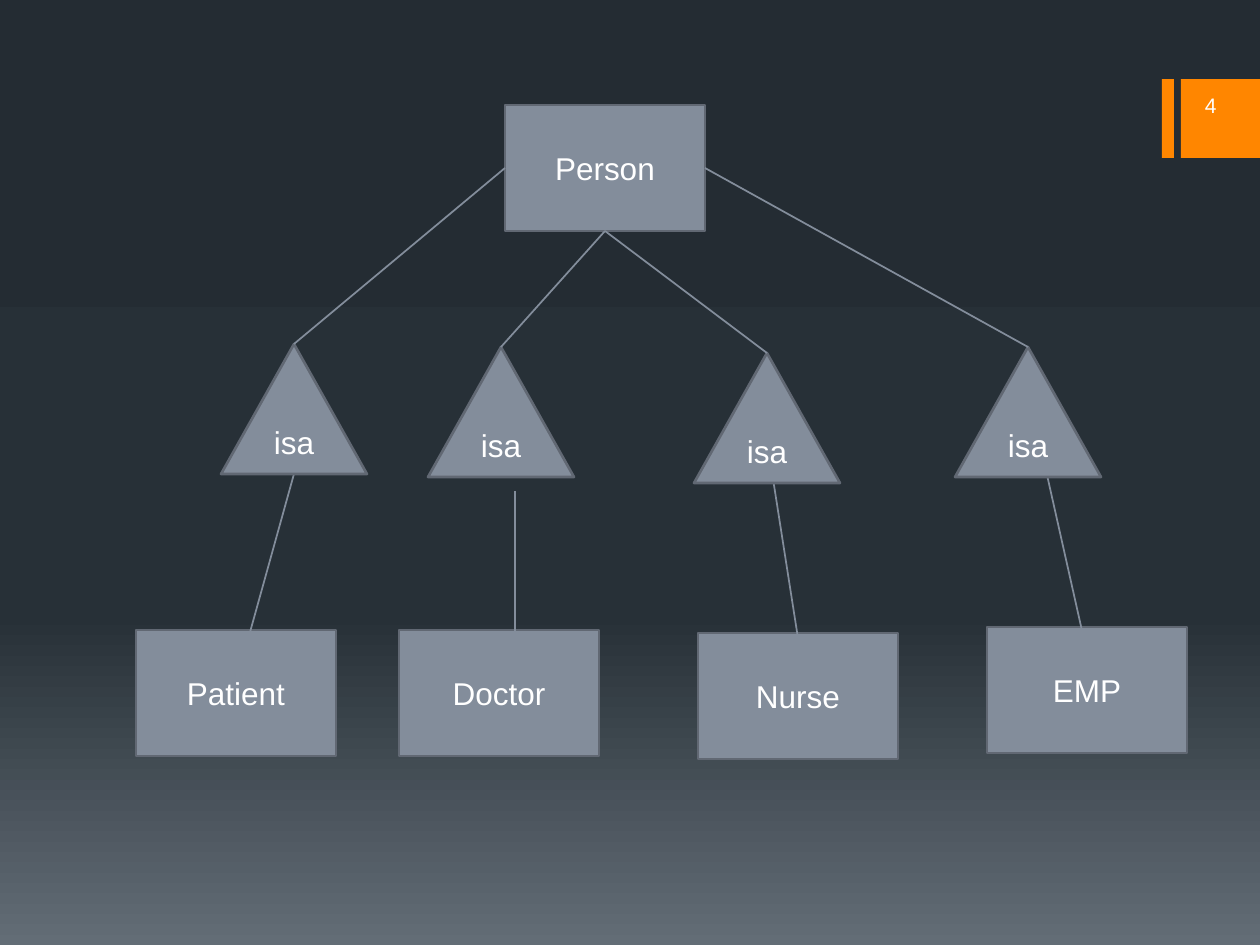
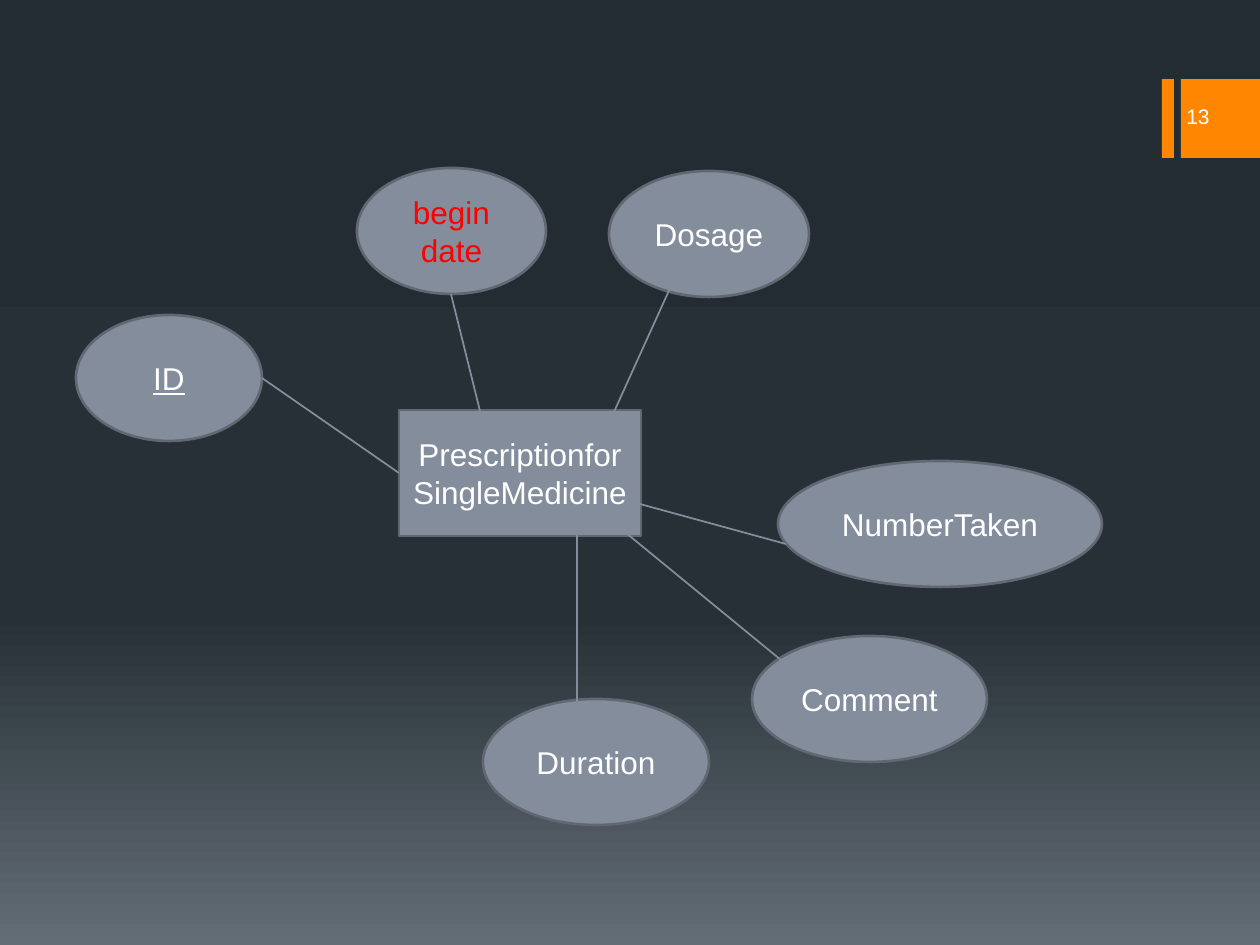
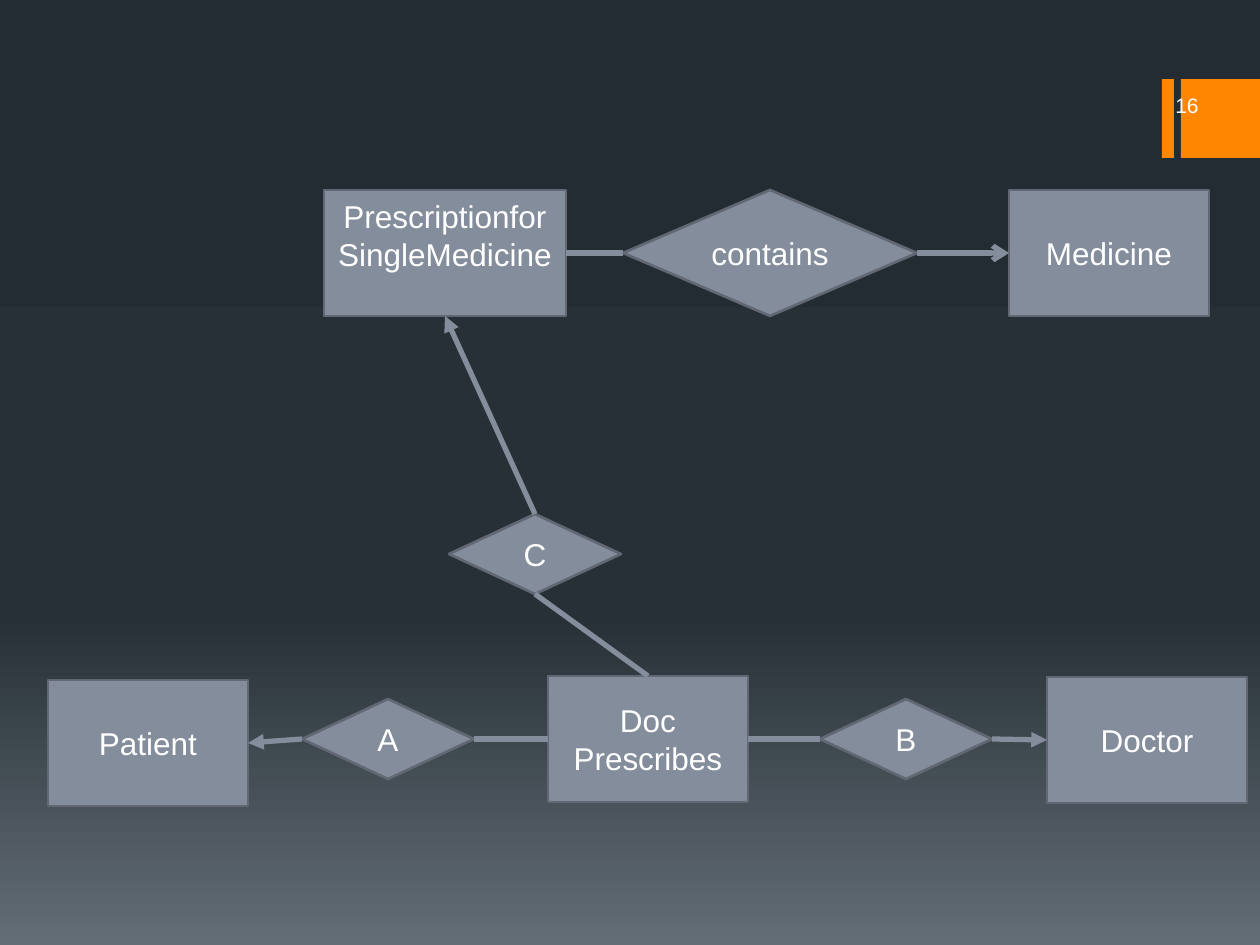
from lxml.etree import SubElement
from pptx import Presentation
from pptx.dml.color import RGBColor
from pptx.enum.shapes import MSO_CONNECTOR, MSO_SHAPE as Preset
from pptx.enum.text import MSO_ANCHOR as Anchor, PP_ALIGN as Align
from pptx.oxml.ns import qn
from pptx.util import Pt

# Shared style
EMU_PER_PX = 914400 / 126
SLIDE_WIDTH, SLIDE_HEIGHT = 1260, 945
GRADIENT = [(0, "242C33"), (65, "273037"), (100, "636D76")]
ACCENT, FILL, OUTLINE = "FF8600", "838D9B", "616873"
WHITE, RED = "FFFFFF", "FF0000"
FRAME_FORMAT = {"word_wrap": True, "vertical_anchor": Anchor.MIDDLE}
BODY_FONT = {"name": "Arial", "size": Pt(18)}
NUMBER_FONT = {"name": "Arial", "size": Pt(12)}
BOX_WIDTH, NODE_HEIGHT = 200, 126
TRIANGLE_SIZE = 146, 130
SMALL_DIAMOND_SIZE = 172, 80
TOP, LEFT, BOTTOM, RIGHT = range(4)


def px(value):
    return round(value * EMU_PER_PX)


def color(hex_value):
    return RGBColor.from_string(hex_value)


def apply_format(target, values):
    for name, value in values.items():
        setattr(target, name, value)


class Diagram:
    """Holds the presentation style and the slide being drawn."""

    def __init__(self):
        self.presentation = Presentation()
        self.presentation.slide_width = px(SLIDE_WIDTH)
        self.presentation.slide_height = px(SLIDE_HEIGHT)
        self.slide = None
        self.paint_background()

    def paint_background(self):
        master = self.presentation.slide_master
        fill = master.background.fill
        fill.gradient()
        fill.gradient_angle = 270
        stops = master.element.find(".//" + qn("a:gsLst"))
        for stop in list(stops):
            stops.remove(stop)
        for percent, hex_value in GRADIENT:
            stop = SubElement(stops, qn("a:gs"), pos=str(percent * 1000))
            SubElement(stop, qn("a:srgbClr"), val=hex_value)

    def new_slide(self):
        self.slide = self.presentation.slides.add_slide(self.presentation.slide_layouts[6])
        for left, width in ((1162, 12), (1181, 79)):
            self.shape(Preset.RECTANGLE, left, 79, width, 79, ACCENT)

    def shape(self, preset, left, top, width, height, fill, outline=None):
        shape = self.slide.shapes.add_shape(preset, px(left), px(top), px(width), px(height))
        shape.shadow.inherit = False
        shape.fill.solid()
        shape.fill.fore_color.rgb = color(fill)
        if outline:
            shape.line.color.rgb = color(outline)
            shape.line.width = Pt(1.5)
        else:
            shape.line.fill.background()
        return shape

    def set_text(self, shape, text, font, align, hex_value=WHITE):
        frame = shape.text_frame
        frame.text = text
        apply_format(frame, FRAME_FORMAT)
        for paragraph in frame.paragraphs:
            paragraph.alignment = align
            for run in paragraph.runs:
                apply_format(run.font, font)
                run.font.color.rgb = color(hex_value)

    def node(self, preset, text, left, top, width=BOX_WIDTH, height=NODE_HEIGHT,
             hex_value=WHITE, **font):
        shape = self.shape(preset, left, top, width, height, FILL, OUTLINE)
        self.set_text(shape, text, BODY_FONT | font, Align.CENTER, hex_value)
        return shape

    def box(self, text, left, top, width=BOX_WIDTH):
        return self.node(Preset.RECTANGLE, text, left, top, width)

    def link(self, start, end, weight=1, arrow=None):
        """Each end is a point in px or a (shape, side) pair."""
        start_glued, end_glued = (not isinstance(place[0], int) for place in (start, end))
        points = [(0, 0) if glued else place
                  for place, glued in ((start, start_glued), (end, end_glued))]
        connector = self.slide.shapes.add_connector(
            MSO_CONNECTOR.STRAIGHT, *(px(value) for point in points for value in point))
        if start_glued:
            connector.begin_connect(*start)
        if end_glued:
            connector.end_connect(*end)
        connector.line.color.rgb = color(FILL)
        connector.line.width = Pt(weight)
        properties = connector.element.spPr
        if arrow:
            SubElement(properties.find(qn("a:ln")), qn("a:tailEnd"), type=arrow)
        SubElement(properties, qn("a:effectLst"))

    def page_number(self, number, left, top):
        box = self.slide.shapes.add_textbox(px(left), px(top), px(130), px(42))
        self.set_text(box, str(number), NUMBER_FONT, Align.RIGHT)


def draw_person_hierarchy(diagram):
    diagram.new_slide()

    # Entities and the lines that reach up from them
    person = diagram.box("Person", 505, 105)
    entities = [
        ("Patient", 136, 630, (294, 474), (244, 654)),
        ("Doctor", 399, 630, (515, 491), (515, 644)),
        ("Nurse", 698, 633, (771, 466), (798, 638)),
        ("EMP", 987, 627, (1043, 457), (1085, 644)),
    ]
    for text, left, top, start, end in entities:
        diagram.box(text, left, top)
        diagram.link(start, end)

    # Triangles below the parent entity
    branches = [(LEFT, 221, 344), (BOTTOM, 428, 347), (BOTTOM, 694, 353), (RIGHT, 955, 347)]
    for side, left, top in branches:
        triangle = diagram.node(Preset.ISOSCELES_TRIANGLE, "isa", left, top, *TRIANGLE_SIZE)
        diagram.link((person, side), (triangle, TOP))
    diagram.page_number(4, 1099, 84)


def draw_prescription_attributes(diagram):
    diagram.new_slide()

    # Entity and its attributes
    prescription = diagram.box("PrescriptionforSingleMedicine", 399, 410, 242)
    attributes = [
        ("begin date", 357, 168, 189, {"hex_value": RED}),
        ("Dosage", 609, 171, 200, {}),
        ("ID", 76, 315, 186, {"underline": True}),
        ("Comment", 752, 636, 235, {}),
        ("Duration", 483, 699, 226, {}),
        ("NumberTaken", 778, 461, 324, {}),
    ]
    for text, left, top, width, options in attributes:
        diagram.node(Preset.OVAL, text, left, top, width, **options)

    # Lines to the attributes
    attribute_links = [
        ((483, 423), (451, 294)),
        ((609, 423), (672, 284)),
        ((prescription, LEFT), (262, 378)),
        ((609, 519), (809, 683)),
        ((577, 519), (577, 735)),
        ((640, 504), (786, 544)),
    ]
    for start, end in attribute_links:
        diagram.link(start, end)
    diagram.page_number(13, 1092, 95)


def draw_prescribing_relations(diagram):
    diagram.new_slide()

    # Entities
    patient = diagram.box("Patient", 48, 680)
    doctor = diagram.box("Doctor", 1047, 677)
    prescription = diagram.box("PrescriptionforSingleMedicine", 324, 190, 242)
    prescription.text_frame.margin_bottom = px(42)
    medicine = diagram.box("Medicine", 1009, 190)
    prescribes = diagram.box("Doc\nPrescribes", 548, 676)

    # Relations
    contains = diagram.node(Preset.DIAMOND, "contains", 623, 190, 294)
    relation_a, relation_b, relation_c = (
        diagram.node(Preset.DIAMOND, text, left, top, *SMALL_DIAMOND_SIZE)
        for text, left, top in (("A", 302, 699), ("B", 820, 699), ("C", 449, 514)))

    # Lines and arrows
    relation_links = [
        (relation_a, LEFT, patient, RIGHT, "triangle"),
        (relation_b, RIGHT, doctor, LEFT, "triangle"),
        (prescription, RIGHT, contains, LEFT, None),
        (contains, RIGHT, medicine, LEFT, "arrow"),
        (relation_a, RIGHT, prescribes, LEFT, None),
        (prescribes, RIGHT, relation_b, LEFT, None),
        (prescribes, TOP, relation_c, BOTTOM, None),
        (relation_c, TOP, prescription, BOTTOM, "triangle"),
    ]
    for source, source_side, target, target_side, arrow in relation_links:
        diagram.link((source, source_side), (target, target_side), 3, arrow)
    diagram.page_number(16, 1081, 84)


def main():
    diagram = Diagram()
    draw_person_hierarchy(diagram)
    draw_prescription_attributes(diagram)
    draw_prescribing_relations(diagram)
    diagram.presentation.save("out.pptx")


if __name__ == "__main__":
    main()
